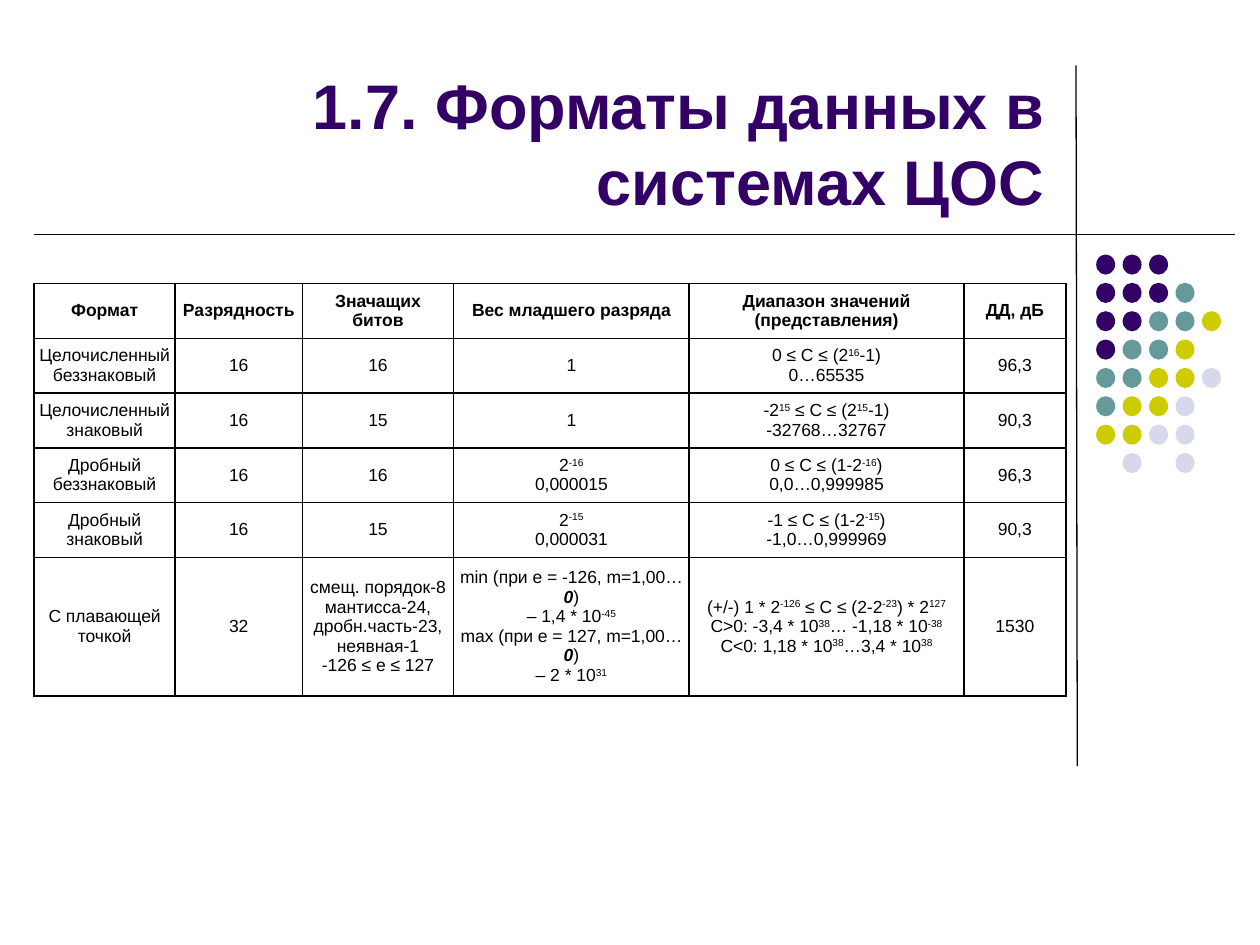
from lxml.etree import SubElement
from pptx import Presentation
from pptx.dml.color import RGBColor
from pptx.enum.shapes import MSO_CONNECTOR, MSO_SHAPE
from pptx.enum.text import MSO_ANCHOR, PP_ALIGN
from pptx.oxml import parse_xml
from pptx.oxml.ns import nsdecls, qn
from pptx.util import Inches, Pt

BLACK = RGBColor(0x00, 0x00, 0x00)
PURPLE = RGBColor(0x33, 0x00, 0x66)
TEAL = RGBColor(0x66, 0x99, 0x99)
OLIVE = RGBColor(0xCC, 0xCC, 0x00)
LAVENDER = RGBColor(0xD8, 0xD8, 0xEC)
FONT = "Arial"

TITLE = "1.7. Форматы данных в системах ЦОС"
HEADER = ["Формат", "Разрядность", "Значащих битов", "Вес младшего разряда",
          "Диапазон значений (представления)", "ДД, дБ"]
FORMATS = [
    ["Целочисленный беззнаковый", "16", "16", "1",
     "0 ≤ C ≤ (2^16^-1)\n0…65535", "96,3"],
    ["Целочисленный знаковый", "16", "15", "1",
     "-2^15^ ≤ C ≤ (2^15^-1)\n-32768…32767", "90,3"],
    ["Дробный беззнаковый", "16", "16", "2^-16^\n0,000015",
     "0 ≤ C ≤ (1-2^-16^)\n0,0…0,999985", "96,3"],
    ["Дробный знаковый", "16", "15", "2^-15^\n0,000031",
     "-1 ≤ C ≤ (1-2^-15^)\n-1,0…0,999969", "90,3"],
    ["С плавающей точкой", "32",
     "смещ. порядок-8\nмантисса-24,\nдробн.часть-23,\nнеявная-1\n-126 ≤ e ≤ 127",
     "min (при e = -126, m=1,00…~0~)\n– 1,4 * 10^-45^\n"
     "max (при e = 127, m=1,00…~0~)\n– 2 * 10^31^",
     "(+/-) 1 * 2^-126^ ≤ C ≤ (2-2^-23^) * 2^127^\n"
     "C>0: -3,4 * 10^38^… -1,18 * 10^-38^\n"
     "C<0: 1,18 * 10^38^…3,4 * 10^38^", "1530"],
]
COLUMN_WIDTHS = [1.12, 1.01, 1.2, 1.87, 2.18, 0.81]
ROW_HEIGHTS = [0.435] * 5 + [1.1]
RULES = [(8.54, 0.52, 8.55, 6.08), (0.27, 1.86, 9.8, 1.86)]
DOT_COLORS = {"P": PURPLE, "T": TEAL, "O": OLIVE, "L": LAVENDER}
DOT_ROWS = ["PPP", "PPPT", "PPTTO", "PTTO", "TTOOL", "TOOL", "OOLL", " L L"]
DOT_LEFT, DOT_TOP, DOT_STEP_X, DOT_STEP_Y = 8.7, 2.02, 0.21, 0.225


def add_rule(slide, ends):
    rule = slide.shapes.add_connector(MSO_CONNECTOR.STRAIGHT, *map(Inches, ends))
    rule.line.color.rgb = BLACK
    rule.line.width = Pt(0.75)
    SubElement(rule._element.spPr, qn("a:effectLst"))


def add_dots(slide):
    for row, pattern in enumerate(DOT_ROWS):
        for column, key in enumerate(pattern):
            if key in DOT_COLORS:
                dot = slide.shapes.add_shape(
                    MSO_SHAPE.OVAL, Inches(DOT_LEFT + column * DOT_STEP_X),
                    Inches(DOT_TOP + row * DOT_STEP_Y), Inches(0.15), Inches(0.16))
                dot.shadow.inherit = False
                dot.fill.solid()
                dot.fill.fore_color.rgb = DOT_COLORS[key]
                dot.line.fill.background()


def format_title(title):
    title.left, title.top, title.width, title.height = map(Inches, (0.35, 0.51, 8.04, 1.27))
    title.text_frame.text = TITLE
    title.text_frame.word_wrap = True
    title.text_frame.vertical_anchor = MSO_ANCHOR.BOTTOM
    paragraph = title.text_frame.paragraphs[0]
    paragraph.alignment = PP_ALIGN.RIGHT
    set_font(paragraph.font, 36, PURPLE, True)


def set_font(font, size, color, bold):
    font.name, font.size, font.bold = FONT, Pt(size), bold
    font.color.rgb = color


def add_marked_runs(paragraph, line):
    """Turn ^text^ into superscript and ~text~ into bold italic."""
    for index, part in enumerate(line.split("^")):
        for inner, piece in enumerate(part.split("~")):
            if piece:
                run = paragraph.add_run()
                run.text = piece
                if index % 2:
                    run._r.get_or_add_rPr().set("baseline", "30000")
                if inner % 2:
                    run.font.bold = run.font.italic = True


def fill_cell(cell, content, bold):
    cell.vertical_anchor = MSO_ANCHOR.MIDDLE
    cell.margin_left = cell.margin_right = Inches(0.04)
    cell.margin_top = cell.margin_bottom = Inches(0.05)
    frame = cell.text_frame
    for index, line in enumerate(content.split("\n")):
        paragraph = frame.add_paragraph() if index else frame.paragraphs[0]
        paragraph.alignment = PP_ALIGN.CENTER
        add_marked_runs(paragraph, line)
        set_font(paragraph.font, 10, BLACK, bold)
    properties = cell._tc.get_or_add_tcPr()
    for side in ("lnL", "lnR", "lnT", "lnB"):
        properties.append(parse_xml(
            f'<a:{side} {nsdecls("a")} w="{Pt(1)}"><a:solidFill>'
            f'<a:srgbClr val="{BLACK}"/></a:solidFill></a:{side}>'))
    cell.fill.background()


def add_format_table(slide):
    rows = [HEADER] + FORMATS
    table = slide.shapes.add_table(
        len(rows), len(HEADER), Inches(0.27), Inches(2.25),
        Inches(sum(COLUMN_WIDTHS)), Inches(sum(ROW_HEIGHTS))).table
    for column, width in zip(table.columns, COLUMN_WIDTHS):
        column.width = Inches(width)
    for row, height, contents in zip(table.rows, ROW_HEIGHTS, rows):
        row.height = Inches(height)
        for cell, content in zip(row.cells, contents):
            fill_cell(cell, content, contents is HEADER)


def main():
    presentation = Presentation()
    presentation.slide_width, presentation.slide_height = Inches(10), Inches(7.5)
    slide = presentation.slides.add_slide(presentation.slide_layouts[5])
    for ends in RULES:
        add_rule(slide, ends)
    add_dots(slide)
    format_title(slide.shapes.title)
    add_format_table(slide)
    presentation.save("out.pptx")


if __name__ == "__main__":
    main()
